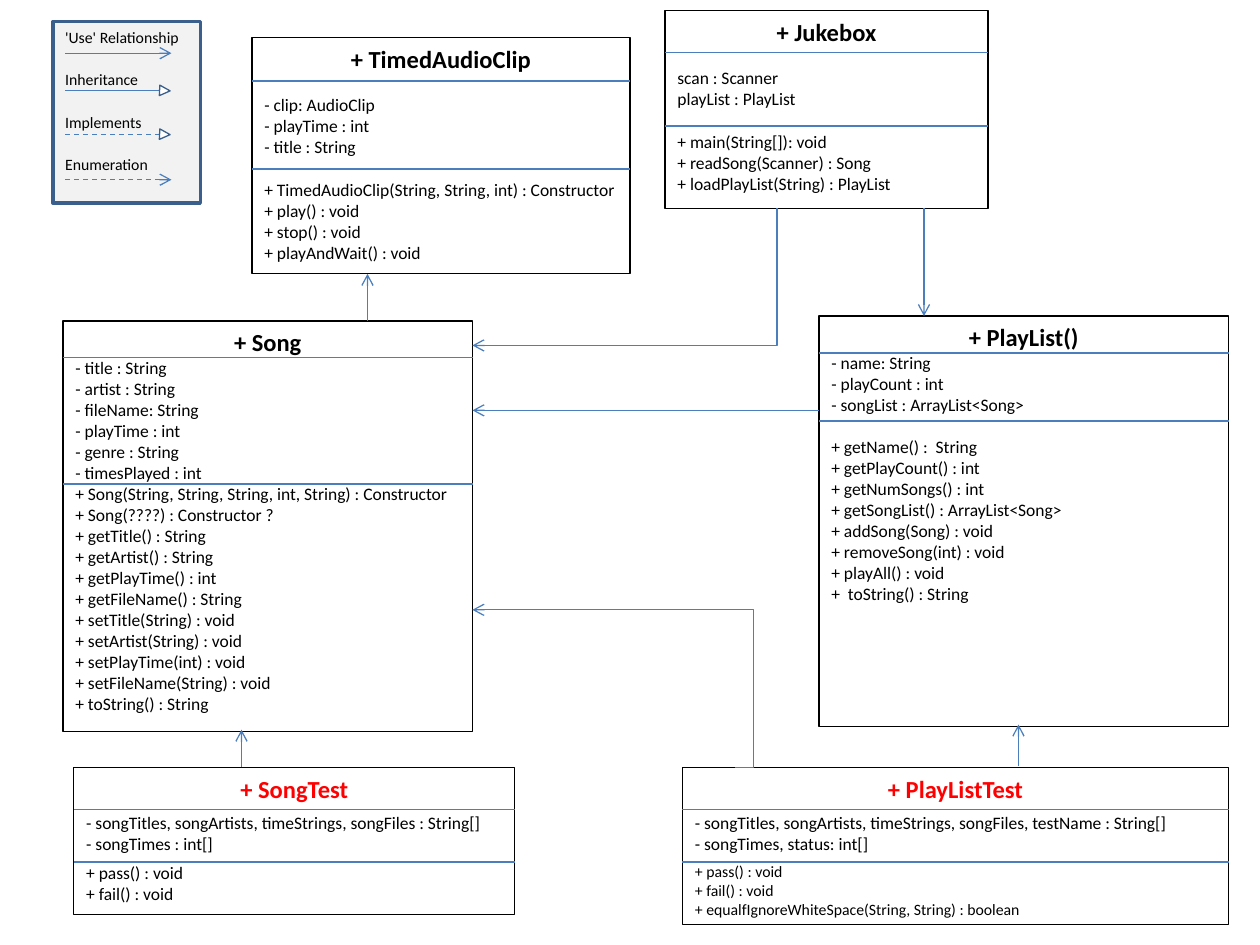
from lxml import etree
from pptx import Presentation
from pptx.dml.color import RGBColor
from pptx.enum import dml, shapes, text
from pptx.oxml.ns import qn
from pptx.util import Pt

BLACK = RGBColor(0x00, 0x00, 0x00)
WHITE = RGBColor(0xFF, 0xFF, 0xFF)
RED = RGBColor(0xFF, 0x00, 0x00)
BLUE = RGBColor(0x4B, 0x7E, 0xBC)
DARK_BLUE = RGBColor(0x3A, 0x5F, 0x8C)
PALE_GRAY = RGBColor(0xF2, 0xF2, 0xF2)
FONT = "Calibri"

# box: left, top, width, height; rules: heights of the two dividers;
# gaps: space above the fields and above the methods
CLASSES = [
    {"title": "+ TimedAudioClip", "box": (144, 21.4, 216, 135), "rules": (46.3, 96.5),
     "gaps": (12.2, 12.2),
     "fields": ["- clip: AudioClip", "- playTime : int", "- title : String"],
     "methods": ["+ TimedAudioClip(String, String, int) : Constructor",
                 "+ play() : void", "+ stop() : void", "+ playAndWait() : void"]},
    {"title": "+ Jukebox", "box": (380, 6, 184.5, 113), "rules": (30, 72),
     "gaps": (12.2, 12.2),
     "fields": ["scan : Scanner", "playList : PlayList"],
     "methods": ["+ main(String[]): void", "+ readSong(Scanner) : Song",
                 "+ loadPlayList(String) : PlayList"]},
    {"title": "+ Song", "box": (36, 183.4, 234, 234.6), "rules": (204.4, 276.5),
     "gaps": (0, 0),
     "fields": ["- title : String", "- artist : String", "- fileName: String",
                "- playTime : int", "- genre : String", "- timesPlayed : int"],
     "methods": ["+ Song(String, String, String, int, String) : Constructor",
                 "+ Song(????) : Constructor ?", "+ getTitle() : String",
                 "+ getArtist() : String", "+ getPlayTime() : int",
                 "+ getFileName() : String", "+ setTitle(String) : void",
                 "+ setArtist(String) : void", "+ setPlayTime(int) : void",
                 "+ setFileName(String) : void", "+ toString() : String"]},
    {"title": "+ PlayList()", "box": (468, 180.6, 234, 234.6), "rules": (201.7, 240.5),
     "gaps": (0, 12.2),
     "fields": ["- name: String", "- playCount : int", "- songList : ArrayList<Song>"],
     "methods": ["+ getName() :  String", "+ getPlayCount() : int",
                 "+ getNumSongs() : int", "+ getSongList() : ArrayList<Song>",
                 "+ addSong(Song) : void", "+ removeSong(int) : void",
                 "+ playAll() : void", "+  toString() : String"]},
    {"title": "+ SongTest", "box": (42.2, 438.5, 252, 84), "rules": (462.4, 492.5),
     "gaps": (4.9, 4.9), "title_color": RED,
     "fields": ["- songTitles, songArtists, timeStrings, songFiles : String[]",
                "- songTimes : int[]"],
     "methods": ["+ pass() : void", "+ fail() : void"]},
    {"title": "+ PlayListTest", "box": (390, 438.5, 312, 90), "rules": (462.4, 492.5),
     "gaps": (4.9, 4.9), "title_color": RED, "method_size": 9,
     "fields": ["- songTitles, songArtists, timeStrings, songFiles, testName : String[]",
                "- songTimes, status: int[]"],
     "methods": ["+ pass() : void", "+ fail() : void",
                 "+ equalfIgnoreWhiteSpace(String, String) : boolean"]},
]

# begin, end, position of the bend (None for a straight arrow)
USES = [
    ((210, 183.4), (210, 156.5), None),
    ((444, 119), (270, 197.4), 0),
    ((528, 119), (528, 180.6), None),
    ((468, 234.5), (270, 234.5), None),
    ((582, 438), (582, 414), None),
    ((138, 438.5), (138, 417), None),
    ((420, 438.5), (270, 348.5), -0.07),
]

# label, line height, dashed, closed triangle as head
LEGEND = [
    ("'Use' Relationship", 30.4, False, False),
    ("Inheritance", 51.8, False, True),
    ("Implements", 76.8, True, True),
    ("Enumeration", 102.7, True, False),
]
LEGEND_BOX = (30.2, 12.4, 84.3, 103.7)
LEGEND_STEP = 24.1


def points(values):
    """Turn a row of numbers into lengths in points."""
    return [Pt(value) for value in values]


def add_shape(slide, kind, box, fill=None, line=BLACK, width=0.75):
    """Draw a flat preset shape."""
    shape = slide.shapes.add_shape(kind, *points(box))
    shape.shadow.inherit = False
    if fill is None:
        shape.fill.background()
    else:
        shape.fill.solid()
        shape.fill.fore_color.rgb = fill
    shape.line.color.rgb = line
    shape.line.width = Pt(width)
    return shape


def add_line(slide, begin, end, arrow=False, dashed=False, bend=None):
    """Draw a straight line, or an elbow when a bend is given."""
    kind = shapes.MSO_CONNECTOR.STRAIGHT if bend is None else shapes.MSO_CONNECTOR.ELBOW
    connector = slide.shapes.add_connector(kind, *points(begin + end))
    connector.line.color.rgb = BLUE
    connector.line.width = Pt(0.75)
    if dashed:
        connector.line.dash_style = dml.MSO_LINE.DASH
    properties = connector._element.spPr
    if arrow:
        etree.SubElement(properties.find(qn("a:ln")), qn("a:tailEnd"), type="arrow")
    if bend is not None:
        adjustments = properties.find(qn("a:prstGeom")).find(qn("a:avLst"))
        etree.SubElement(adjustments, qn("a:gd"), name="adj1",
                         fmla=f"val {round(bend * 100000)}")
    etree.SubElement(properties, qn("a:effectLst"))


def write(paragraph, words, size=10, color=BLACK, bold=False,
          align=text.PP_ALIGN.LEFT, before=0):
    """Fill one paragraph with formatted text."""
    paragraph.alignment = align
    paragraph.space_before = Pt(before)
    run = paragraph.add_run()
    run.text = words
    run.font.name = FONT
    run.font.size = Pt(size)
    run.font.bold = bold
    run.font.color.rgb = color


def add_class(slide, title, box, rules, gaps, fields, methods,
              title_color=BLACK, method_size=10):
    """Draw a class box with its title, fields, methods and dividers."""
    frame = add_shape(slide, shapes.MSO_SHAPE.RECTANGLE, box).text_frame
    frame.word_wrap = True
    frame.vertical_anchor = text.MSO_ANCHOR.TOP
    write(frame.paragraphs[0], title, size=14, color=title_color, bold=True,
          align=text.PP_ALIGN.CENTER)
    for members, gap, size in ((fields, gaps[0], 10), (methods, gaps[1], method_size)):
        for index, member in enumerate(members):
            write(frame.add_paragraph(), member, size=size, before=0 if index else gap)
    left, _, width, _ = box
    for y in rules:
        add_line(slide, (left, y), (left + width, y))


def add_legend(slide):
    """Draw the key to the kinds of arrow."""
    left, top, width, _ = LEGEND_BOX
    add_shape(slide, shapes.MSO_SHAPE.RECTANGLE, LEGEND_BOX, PALE_GRAY, DARK_BLUE, 2)
    for index, (label, y, dashed, closed) in enumerate(LEGEND):
        label_box = (left, top + index * LEGEND_STEP, width, 18)
        frame = slide.shapes.add_textbox(*points(label_box)).text_frame
        frame.word_wrap = True
        write(frame.paragraphs[0], label, size=9)
        add_line(slide, (37.2, y), (91.4 if closed else 98, y),
                 arrow=not closed, dashed=dashed)
        if closed:
            head = add_shape(slide, shapes.MSO_SHAPE.ISOSCELES_TRIANGLE,
                             (91.2, y - 3, 6, 6), WHITE, DARK_BLUE)
            head.rotation = 92.8


presentation = Presentation()
presentation.slide_width, presentation.slide_height = Pt(720), Pt(540)
slide = presentation.slides.add_slide(presentation.slide_layouts[6])
add_legend(slide)
for class_box in CLASSES:
    add_class(slide, **class_box)
for begin, end, bend in USES:
    add_line(slide, begin, end, arrow=True, bend=bend)
presentation.save("out.pptx")
